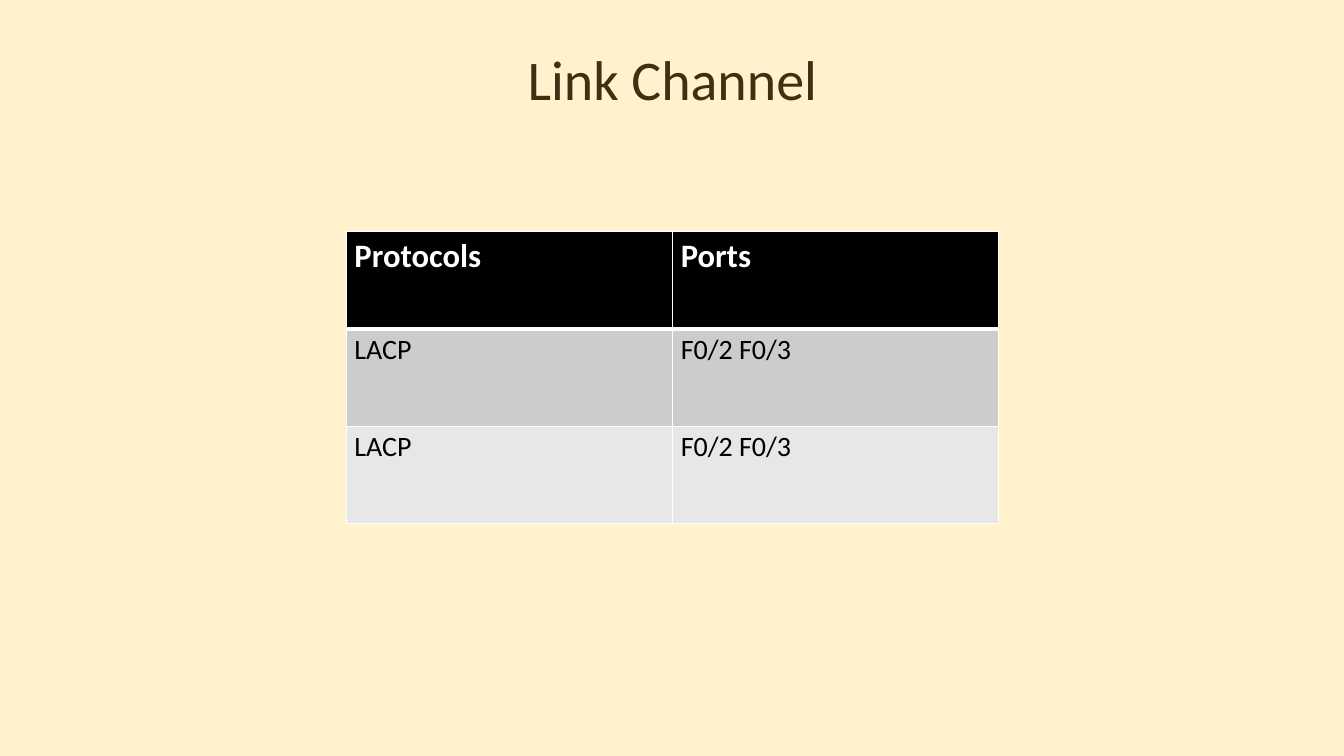
from dataclasses import dataclass

from lxml import etree
from pptx import Presentation
from pptx.dml.color import RGBColor
from pptx.enum.text import MSO_ANCHOR, MSO_AUTO_SIZE, PP_ALIGN
from pptx.oxml.ns import qn
from pptx.util import Inches, Pt

CENTER = PP_ALIGN.CENTER
TOP = MSO_ANCHOR.TOP
NO_AUTOFIT = MSO_AUTO_SIZE.NONE
TITLE_ONLY = 5


@dataclass(frozen=True)
class Theme:
    font: str = "Calibri"
    background: str = "FFF2CC"
    title_color: str = "403011"
    header_color: str = "FFFFFF"
    body_color: str = "000000"
    header_fill: str = "000000"
    band_fills: tuple = ("CCCCCC", "E7E7E7")
    border: str = "FFFFFF"
    title_size: int = 48
    header_size: int = 28
    body_size: int = 24
    thin: int = 1
    thick: int = 3


class SlideBuilder:
    def __init__(self, slide, theme):
        self.slide = slide
        self.theme = theme

    def background(self):
        fill = self.slide.background.fill
        fill.solid()
        fill.fore_color.rgb = RGBColor.from_string(self.theme.background)

    def format_font(self, paragraph, size, color, bold=False):
        font = paragraph.font
        for name, value in {"name": self.theme.font, "size": Pt(size), "bold": bold}.items():
            setattr(font, name, value)
        font.color.rgb = RGBColor.from_string(color)

    def title(self, text, left, top, width, height):
        title = self.slide.shapes.title
        place = {"left": left, "top": top, "width": width, "height": height}
        for name, value in place.items():
            setattr(title, name, Inches(value))
        frame = title.text_frame
        frame.text = text
        layout = {"margin_left": 0, "margin_right": 0, "margin_top": 0, "margin_bottom": 0,
                  "word_wrap": False, "vertical_anchor": TOP, "auto_size": NO_AUTOFIT}
        for name, value in layout.items():
            setattr(frame, name, value)
        heading = frame.paragraphs[0]
        heading.alignment = CENTER
        heading.line_spacing = Pt(27.5)
        self.format_font(heading, self.theme.title_size, self.theme.title_color)

    def cell_borders(self, cell, widths):
        properties = cell._tc.get_or_add_tcPr()
        for side, width in widths.items():
            line = etree.SubElement(properties, qn(f"a:ln{side}"), w=str(Pt(width)))
            fill = etree.SubElement(line, qn("a:solidFill"))
            etree.SubElement(fill, qn("a:srgbClr"), val=self.theme.border)

    def table(self, rows, left, top, width, height):
        theme = self.theme
        grid = self.slide.shapes.add_table(
            len(rows), len(rows[0]), Inches(left), Inches(top), Inches(width), Inches(height)
        ).table
        for r, row in enumerate(rows):
            header = r == 0
            fill = theme.header_fill if header else theme.band_fills[(r - 1) % 2]
            size = theme.header_size if header else theme.body_size
            color = theme.header_color if header else theme.body_color
            widths = dict.fromkeys("LRTB", theme.thin)
            if header:
                widths["B"] = theme.thick
            elif r == 1:
                widths["T"] = theme.thick
            for c, text in enumerate(row):
                cell = grid.cell(r, c)
                cell.text = text
                self.format_font(cell.text_frame.paragraphs[0], size, color, header)
                self.cell_borders(cell, widths)
                cell.fill.solid()
                cell.fill.fore_color.rgb = RGBColor.from_string(fill)


def main():
    deck = Presentation()
    deck.slide_width = Inches(16)
    deck.slide_height = Inches(9)
    slide = deck.slides.add_slide(deck.slide_layouts[TITLE_ONLY])
    builder = SlideBuilder(slide, Theme())
    builder.background()
    builder.title("Link Channel", 4.35, 0.95, 7.31, 0.39)
    port_rows = [
        ("Protocols", "Ports"),
        ("LACP", "F0/2 F0/3"),
        ("LACP", "F0/2 F0/3"),
    ]
    builder.table(port_rows, 4.12, 2.76, 7.77, 3.47)
    deck.save("out.pptx")


if __name__ == "__main__":
    main()
